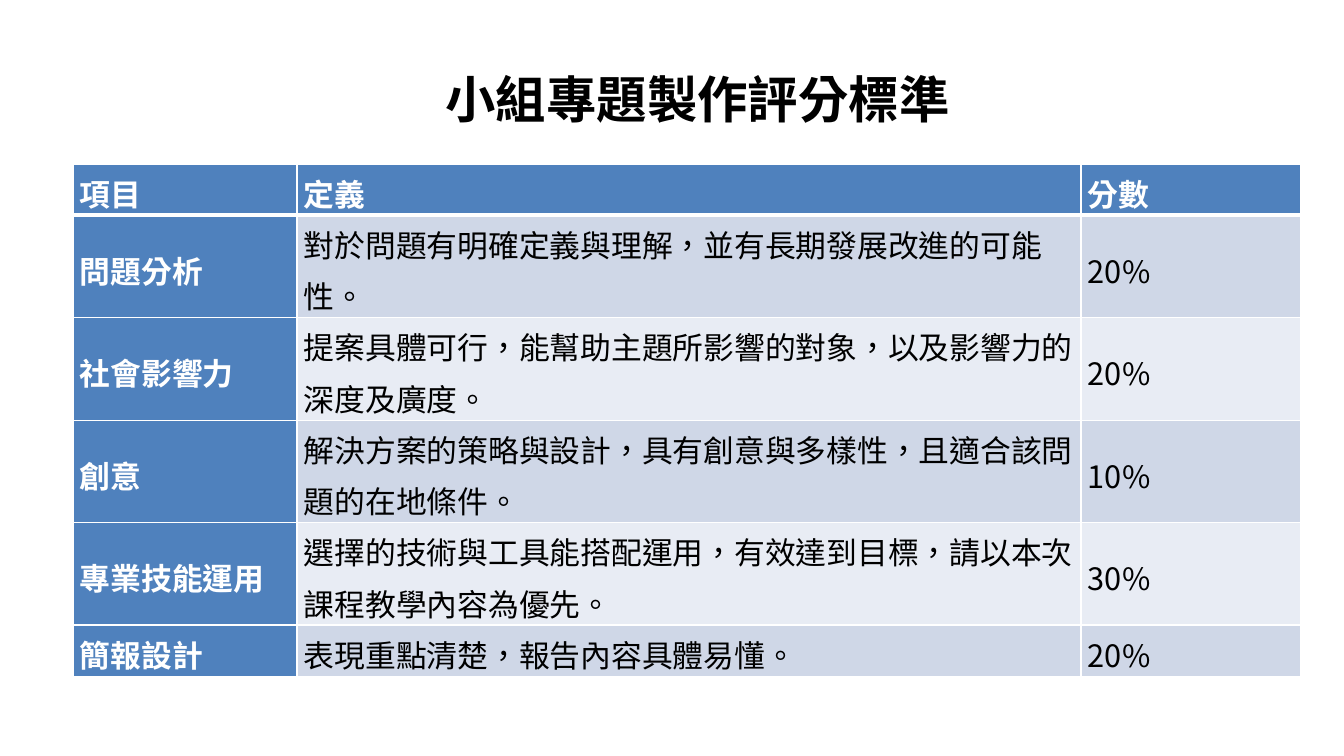
from lxml.etree import SubElement
from pptx import Presentation
from pptx.dml.color import RGBColor
from pptx.enum.text import MSO_ANCHOR as Anchor, PP_ALIGN as Align
from pptx.oxml.ns import qn
from pptx.util import Emu, Pt

TITLE = "小組專題製作評分標準"
CRITERIA = [
    ("項目", "定義", "分數"),
    ("問題分析", "對於問題有明確定義與理解，並有長期發展改進的可能性。", "20%"),
    ("社會影響力", "提案具體可行，能幫助主題所影響的對象，以及影響力的深度及廣度。", "20%"),
    ("創意", "解決方案的策略與設計，具有創意與多樣性，且適合該問題的在地條件。", "10%"),
    ("專業技能運用", "選擇的技術與工具能搭配運用，有效達到目標，請以本次課程教學內容為優先。", "30%"),
    ("簡報設計", "表現重點清楚，報告內容具體易懂。", "20%"),
]
COLORS = {
    "white": "FFFFFF",
    "black": "000000",
    "header": "4F81BD",
    "odd": "CFD7E7",
    "even": "E8ECF4",
}
FONT = "Noto Sans CJK TC"
LANGUAGE = "zh-TW"
SLIDE_SIZE = (1344, 756)
TITLE_BOX = (335, 63, 725, 86)
TABLE_ORIGIN = (73, 164)
COLUMN_WIDTHS = (224, 784, 220)
LINE_HEIGHT = 51
LINES_PER_ROW = (1, 2, 2, 2, 2, 1)
CELL_INSET = 7


def px(length):
    return Emu(round(length * 914400 / 100.8))


def rgb(name):
    return RGBColor.from_string(COLORS[name])


def write(frame, text, size, color="black", bold=False, align=None, spacing=None):
    frame.word_wrap = True
    para = frame.paragraphs[0]
    para.alignment = align
    para.line_spacing = spacing
    para._p.get_or_add_pPr().set("hangingPunct", "0")
    span = para.add_run()
    span.text = text
    span.font.name = FONT
    span.font.size = Pt(size)
    span.font.bold = bold
    span.font.color.rgb = rgb(color)
    span.font._element.set("lang", LANGUAGE)
    SubElement(span.font._element, qn("a:ea"), typeface=FONT)


def add_borders(cell, top, bottom):
    properties = cell._tc.get_or_add_tcPr()
    for side, width in (("L", 1), ("R", 1), ("T", top), ("B", bottom)):
        line = SubElement(properties, qn(f"a:ln{side}"), w=str(Pt(width)))
        fill = SubElement(line, qn("a:solidFill"))
        SubElement(fill, qn("a:srgbClr"), val=COLORS["white"])


def add_title(page):
    box = page.shapes.add_textbox(*map(px, TITLE_BOX))
    write(box.text_frame, TITLE, 36, bold=True, align=Align.CENTER)


def add_criteria(page):
    heights = [LINE_HEIGHT * lines for lines in LINES_PER_ROW]
    area = (*TABLE_ORIGIN, sum(COLUMN_WIDTHS), sum(heights))
    table = page.shapes.add_table(
        len(CRITERIA), len(COLUMN_WIDTHS), *map(px, area)
    ).table
    for column, width in zip(table.columns, COLUMN_WIDTHS):
        column.width = px(width)
    for row, height in zip(table.rows, heights):
        row.height = px(height)

    for r, texts in enumerate(CRITERIA):
        for c, text in enumerate(texts):
            cell = table.cell(r, c)
            heading = r == 0 or c == 0
            band = "odd" if r % 2 else "even"
            cell.vertical_anchor = Anchor.MIDDLE
            cell.margin_left = cell.margin_right = px(CELL_INSET)
            cell.margin_top = cell.margin_bottom = 0
            add_borders(cell, top=3 if r == 1 else 1, bottom=3 if r == 0 else 1)
            cell.fill.solid()
            cell.fill.fore_color.rgb = rgb("header" if heading else band)
            write(cell.text_frame, text, 22, color="white" if heading else "black",
                  bold=heading, spacing=1.15)


def main():
    deck = Presentation()
    deck.slide_width, deck.slide_height = map(px, SLIDE_SIZE)
    page = deck.slides.add_slide(deck.slide_layouts[6])
    add_criteria(page)
    add_title(page)
    deck.save("out.pptx")


if __name__ == "__main__":
    main()
